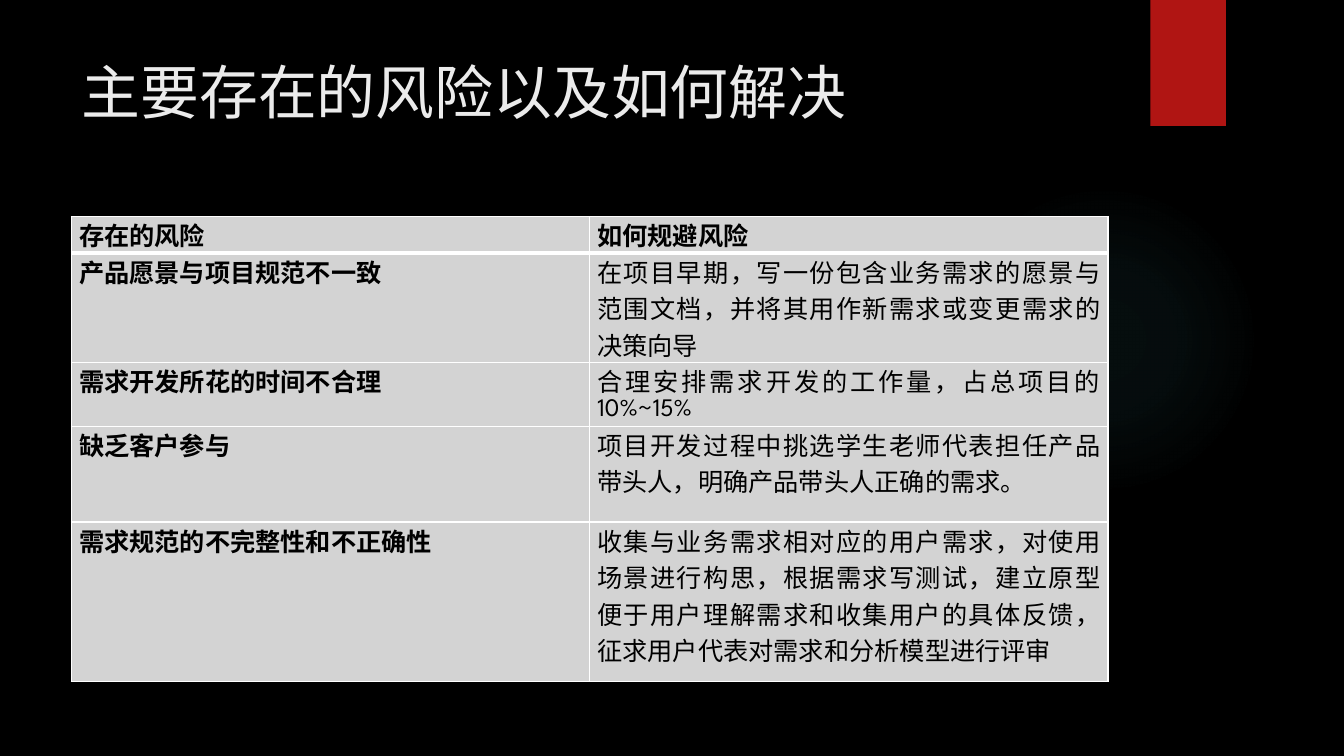
from lxml import etree
from pptx import Presentation
from pptx.dml.color import RGBColor
from pptx.enum.shapes import MSO_SHAPE
from pptx.enum.text import MSO_ANCHOR, MSO_AUTO_SIZE, PP_ALIGN
from pptx.oxml import parse_xml
from pptx.oxml.ns import qn
from pptx.util import Inches, Pt

ELLIPSE, RECTANGLE = MSO_SHAPE.OVAL, MSO_SHAPE.RECTANGLE
TOP, NO_FIT = MSO_ANCHOR.TOP, MSO_AUTO_SIZE.NONE
LEFT, JUSTIFY = PP_ALIGN.LEFT, PP_ALIGN.JUSTIFY
TITLE_ONLY = 5
DRAWING_NS = "http://schemas.openxmlformats.org/drawingml/2006/main"
CJK_FONT, LATIN_FONT = "Noto Sans CJK SC", "League Spartan"
BLACK, WHITE, GREY = "000000", "FFFFFF", "D3D3D3"
RED, TEAL, PALE = "B01513", "50B9C1", "EBEBEB"
SLIDE_WIDTH, SLIDE_HEIGHT = 13.33, 7.5
MARGIN, CONTENT_WIDTH = 0.71, 10.28
CELL_INSET = 0.075
ROW_HEIGHTS = [0.36, 1.08, 0.63, 0.95, 1.58]
THIN, THICK = 1, 3

RISKS = [
    ("存在的风险", "如何规避风险"),
    ("产品愿景与项目规范不一致",
     "在项目早期，写一份包含业务需求的愿景与范围文档，并将其用作新需求或变更需求的决策向导"),
    ("需求开发所花的时间不合理", "合理安排需求开发的工作量，占总项目的10%~15%"),
    ("缺乏客户参与", "项目开发过程中挑选学生老师代表担任产品带头人，明确产品带头人正确的需求。"),
    ("需求规范的不完整性和不正确性",
     "收集与业务需求相对应的用户需求，对使用场景进行构思，根据需求写测试，建立原型"
     "便于用户理解需求和收集用户的具体反馈，征求用户代表对需求和分析模型进行评审"),
]


def color(hex_value):
    return RGBColor.from_string(hex_value)


def drawing_xml(body):
    return parse_xml(body.replace(">", f' xmlns:a="{DRAWING_NS}">', 1))


def write(frame, text, *, size, ink, latin=CJK_FONT, bold=False, align=LEFT):
    paragraph = frame.paragraphs[0]
    paragraph.alignment = align
    run = paragraph.add_run()
    run.text = text
    run.font.size = Pt(size)
    run.font.bold = bold
    run.font.name = latin
    run.font.color.rgb = color(ink)
    east_asian = etree.SubElement(run.font._element, qn("a:ea"))
    east_asian.set("typeface", CJK_FONT)


def add_plain_shape(slide, preset, box):
    shape = slide.shapes.add_shape(preset, *map(Inches, box))
    shape.shadow.inherit = False
    shape.line.fill.background()
    return shape


def add_glow(slide, box):
    glow = add_plain_shape(slide, ELLIPSE, box)
    stops = "".join(
        f'<a:gs pos="{position * 1000}"><a:srgbClr val="{TEAL}">'
        f'<a:alpha val="{alpha * 1000}"/></a:srgbClr></a:gs>'
        for position, alpha in [(0, 7), (36, 6), (69, 0)]
    )
    gradient = drawing_xml(
        f'<a:gradFill><a:gsLst>{stops}</a:gsLst><a:path path="circle">'
        '<a:fillToRect l="50000" t="50000" r="50000" b="50000"/>'
        "</a:path></a:gradFill>"
    )
    glow._element.spPr.find(qn("a:prstGeom")).addnext(gradient)


def add_ribbon(slide, box):
    ribbon = add_plain_shape(slide, RECTANGLE, box)
    ribbon.fill.solid()
    ribbon.fill.fore_color.rgb = color(RED)
    shadow = drawing_xml(
        f'<a:outerShdw blurRad="{Pt(3)}" dist="{Pt(2)}" dir="5400000">'
        f'<a:srgbClr val="{BLACK}"><a:alpha val="45000"/></a:srgbClr></a:outerShdw>'
    )
    ribbon._element.spPr.find(qn("a:effectLst")).append(shadow)


def add_heading(slide, box, text):
    heading = slide.shapes.title
    heading.left, heading.top, heading.width, heading.height = map(Inches, box)
    frame = heading.text_frame
    frame.word_wrap = True
    frame.auto_size = NO_FIT
    frame.vertical_anchor = TOP
    write(frame, text, size=42, ink=PALE)


def set_borders(cell, **widths):
    properties = cell._tc.get_or_add_tcPr()
    for side in "LRTB":
        properties.append(drawing_xml(
            f'<a:ln{side} w="{Pt(widths.get(side, THIN))}"><a:solidFill>'
            f'<a:srgbClr val="{WHITE}"/></a:solidFill></a:ln{side}>'
        ))


def add_risk_table(slide, box, risks):
    columns = len(risks[0])
    table = slide.shapes.add_table(len(risks), columns, *map(Inches, box)).table
    for column in table.columns:
        column.width = Inches(box[2] / columns)
    for row, height in zip(table.rows, ROW_HEIGHTS):
        row.height = Inches(height)
    for row_index, entries in enumerate(risks):
        for column_index, text in enumerate(entries):
            cell = table.cell(row_index, column_index)
            cell.margin_left = cell.margin_right = Inches(CELL_INSET)
            cell.margin_top = cell.margin_bottom = 0
            set_borders(cell,
                        T=THICK if row_index == 1 else THIN,
                        B=THICK if row_index == 0 else THIN)
            cell.fill.solid()
            cell.fill.fore_color.rgb = color(GREY)
            write(cell.text_frame, text, size=18, ink=BLACK, latin=LATIN_FONT,
                  bold=row_index == 0 or column_index == 0, align=JUSTIFY)


def build_risk_slide(deck):
    slide = deck.slides.add_slide(deck.slide_layouts[TITLE_ONLY])
    slide.background.fill.solid()
    slide.background.fill.fore_color.rgb = color(BLACK)
    add_glow(slide, (9.41, 1.83, 3.08, 3.08))
    add_ribbon(slide, (11.41, 0, 0.75, SLIDE_HEIGHT / 6))
    add_heading(slide, (MARGIN, 0.5, CONTENT_WIDTH, 1.53), "主要存在的风险以及如何解决")
    add_risk_table(slide, (MARGIN, 2.15, CONTENT_WIDTH, sum(ROW_HEIGHTS)), RISKS)


def main():
    deck = Presentation()
    deck.slide_width = Inches(SLIDE_WIDTH)
    deck.slide_height = Inches(SLIDE_HEIGHT)
    build_risk_slide(deck)
    deck.save("out.pptx")


if __name__ == "__main__":
    main()
